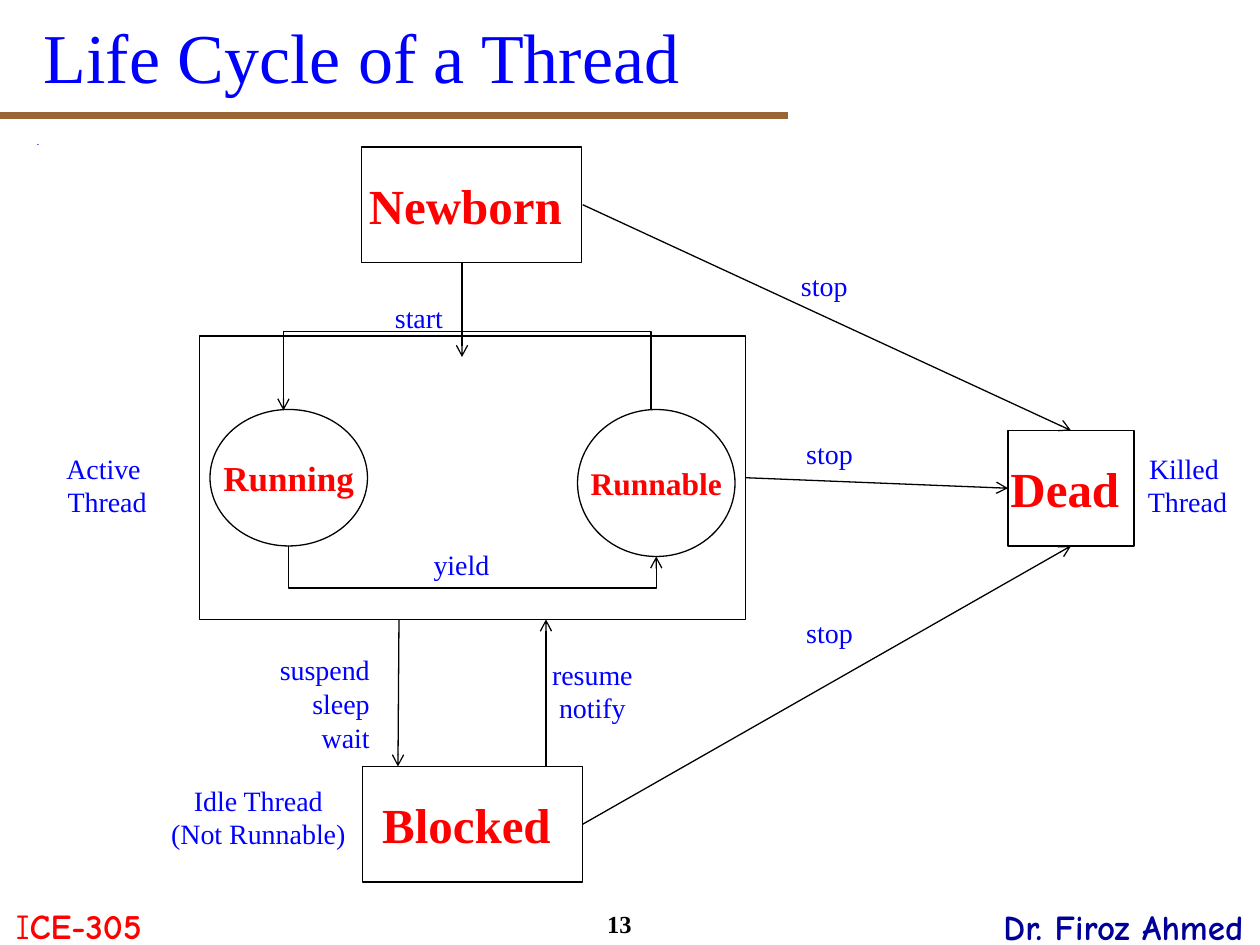
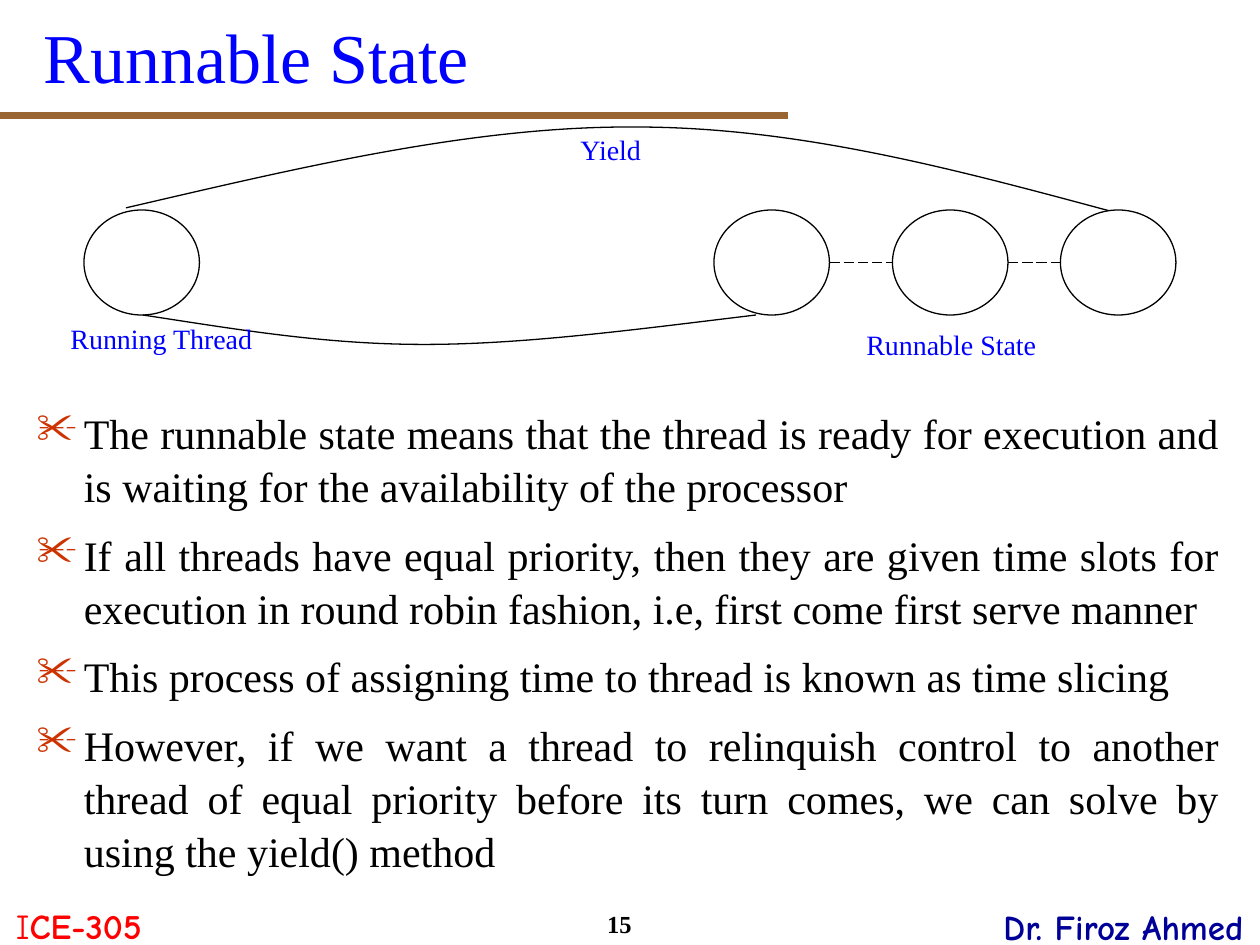
from dataclasses import dataclass

from lxml import etree
from pptx import Presentation
from pptx.dml.color import RGBColor
from pptx.enum.dml import MSO_LINE
from pptx.enum.shapes import MSO_CONNECTOR, MSO_SHAPE
from pptx.enum.text import MSO_ANCHOR, MSO_AUTO_SIZE, PP_ALIGN
from pptx.oxml.ns import qn
from pptx.util import Emu, Pt

PX = 7620
STRAIGHT, ELBOW = MSO_CONNECTOR.STRAIGHT, MSO_CONNECTOR.ELBOW
RECT, OVAL = MSO_SHAPE.RECTANGLE, MSO_SHAPE.OVAL
LEFT, CENTER, RIGHT, JUSTIFY = PP_ALIGN.LEFT, PP_ALIGN.CENTER, PP_ALIGN.RIGHT, PP_ALIGN.JUSTIFY
TOP, MIDDLE = MSO_ANCHOR.TOP, MSO_ANCHOR.MIDDLE
GROW, FIXED = MSO_AUTO_SIZE.SHAPE_TO_FIT_TEXT, MSO_AUTO_SIZE.NONE
LONG_DASH = MSO_LINE.LONG_DASH


@dataclass(frozen=True)
class Theme:
    font: str = "Times New Roman"
    footer_font: str = "Comic Neue"
    blue: str = "0000FF"
    navy: str = "000099"
    red: str = "FF0000"
    brown: str = "996633"
    rust: str = "CC3300"
    black: str = "000000"
    white: str = "FFFFFF"
    title: float = 40
    state: float = 28
    body: float = 24
    footer: float = 20
    running: float = 20
    runnable: float = 18
    label: float = 16
    number: float = 14
    dot: float = 6.5
    line: float = 0.75
    rule: float = 4.5


THEME = Theme()


def px(value):
    return Emu(round(value * PX))


def rgb(color):
    return RGBColor.from_string(color)


def add_xml(parent, tag, **attributes):
    return etree.SubElement(parent, qn(tag), **attributes)


def add_bullet(paragraph, char, color):
    properties = paragraph._p.get_or_add_pPr()
    properties.set("marL", str(px(45)))
    properties.set("indent", str(-px(45)))
    add_xml(add_xml(properties, "a:buClr"), "a:srgbClr", val=color)
    add_xml(properties, "a:buChar", char=char)


def write_text(frame, text, *, size=THEME.label, color=THEME.blue, font=THEME.font,
               bold=False, align=CENTER, anchor=TOP, wrap=False, fit=FIXED,
               margin_y=6, spacing=None, before=None, bullet=None):
    frame.word_wrap = wrap
    frame.auto_size = fit
    frame.vertical_anchor = anchor
    frame.margin_left = frame.margin_right = px(12)
    frame.margin_top = frame.margin_bottom = px(margin_y)
    for index, line in enumerate(text.split("\n")):
        paragraph = frame.add_paragraph() if index else frame.paragraphs[0]
        paragraph.alignment = align
        if spacing:
            paragraph.line_spacing = spacing
        if before is not None:
            paragraph.space_before = Pt(before)
        if bullet:
            add_bullet(paragraph, bullet, THEME.rust)
        run = paragraph.add_run()
        run.text = line
        run.font.size, run.font.name, run.font.bold = Pt(size), font, bold
        run.font.color.rgb = rgb(color)


class Deck:
    def __init__(self, theme):
        self.theme = theme
        self.presentation = Presentation()
        self.presentation.slide_width, self.presentation.slide_height = px(1200), px(900)
        self.slide = None

    def start_slide(self, title, number):
        theme = self.theme
        self.slide = self.presentation.slides.add_slide(self.presentation.slide_layouts[6])
        self.line((0, 110), (750, 110), color=theme.brown, width=theme.rule)
        footer = dict(size=theme.footer, font=theme.footer_font, wrap=True)
        course = self.text((0, 856, 150, 53), "I", color=theme.red, **footer)
        initial = course.paragraphs[0].runs[0]
        code = course.paragraphs[0].add_run()
        code.text = "CE-305"
        code.font.size, code.font.name, code.font.bold = initial.font.size, initial.font.name, True
        code.font.color.rgb = initial.font.color.rgb
        self.text((940, 856, 260, 92), "Dr. Firoz Ahmed", color=theme.navy, bold=True, **footer)
        self.text((550, 860, 80, 40), str(number), size=theme.number, color=theme.black,
                  bold=True, wrap=True)
        self.text((30, -2, 1140, 110), title, size=theme.title, align=LEFT,
                  anchor=MIDDLE, wrap=True)

    def text(self, box, text, **style):
        frame = self.slide.shapes.add_textbox(*map(px, box)).text_frame
        write_text(frame, text, **style)
        return frame

    def label(self, box, text, **style):
        self.text(box, text, fit=GROW, **style)

    def outline(self, shape):
        shape.shadow.inherit = False
        shape.fill.solid()
        shape.fill.fore_color.rgb = rgb(self.theme.white)
        shape.line.color.rgb = rgb(self.theme.black)
        shape.line.width = Pt(self.theme.line)

    def state(self, kind, box, text="", size=THEME.state):
        shape = self.slide.shapes.add_shape(kind, *map(px, box))
        self.outline(shape)
        if text:
            write_text(shape.text_frame, text, size=size, color=self.theme.red,
                       bold=True, anchor=MIDDLE)

    def line(self, start, end, kind=STRAIGHT, color=THEME.black, width=THEME.line,
             arrow=None, dash=None):
        connector = self.slide.shapes.add_connector(kind, *map(px, (*start, *end)))
        connector.line.color.rgb = rgb(color)
        connector.line.width = Pt(width)
        if dash:
            connector.line.dash_style = dash
        if arrow:
            add_xml(connector.line._get_or_add_ln(), arrow, type="arrow")
        add_xml(connector._element.spPr, "a:effectLst")
        return connector

    def arrow(self, start, end):
        self.line(start, end, arrow="a:tailEnd")

    def elbow(self, start, end, turn_y):
        (start_x, start_y), (end_x, end_y) = start, end
        rise, run = start_y - end_y, abs(end_x - start_x)
        left = (start_x + end_x - rise) / 2
        top = (start_y + end_y - run) / 2
        connector = self.line((left, top), (left + rise, top + run), ELBOW, arrow="a:headEnd")
        rightward = end_x > start_x
        transform = connector._element.spPr.find(qn("a:xfrm"))
        transform.set("rot", str((90 if rightward else 270) * 60000))
        transform.set("flipH", str(int(rightward)))
        transform.set("flipV", "1")
        geometry = connector._element.spPr.find(qn("a:prstGeom"))
        guides = geometry.get_or_add_avLst()
        bend = round((start_y - turn_y) / rise * 100000)
        add_xml(guides, "a:gd", name="adj1", fmla=f"val {bend}")

    def curve(self, start, *controls):
        builder = self.slide.shapes.build_freeform(*start, scale=PX)
        builder.add_line_segments(controls, close=False)
        shape = builder.convert_to_shape()
        self.outline(shape)
        segments = list(shape._element.iter(qn("a:lnTo")))
        outline = segments[0].getparent()
        for first in range(0, len(segments), 3):
            bezier = add_xml(outline, "a:cubicBezTo")
            for segment in segments[first:first + 3]:
                bezier.append(segment[0])
                outline.remove(segment)


def build_life_cycle(deck):
    theme = deck.theme
    deck.start_slide("Life Cycle of a Thread", 13)
    deck.text((23, 130, 1150, 6), ".", size=theme.dot, align=LEFT, wrap=True,
              margin_y=0, spacing=0.85, before=9.8)

    deck.state(RECT, (190, 320, 520, 270))
    deck.state(OVAL, (200, 390, 150, 130), "Running", theme.running)
    deck.state(OVAL, (550, 390, 150, 140), "Runnable", theme.runnable)
    deck.state(RECT, (344, 140, 210, 110), "Newborn ")
    deck.state(RECT, (345, 730, 210, 110), "Blocked ")
    deck.state(RECT, (960, 410, 120, 110), "Dead ")

    for start, end in (
        ((440, 250), (440, 340)),
        ((520, 730), (520, 590)),
        ((380, 590), (379, 730)),
        ((555, 195), (1020, 410)),
        ((710, 455), (960, 465)),
        ((555, 785), (1020, 520)),
    ):
        deck.arrow(start, end)
    deck.elbow((270, 391), (620, 390), 315)
    deck.elbow((625, 530), (275, 520), 560)

    for box, text in (
        ((42, 424, 120, 77), "Active \nThread"),
        ((401, 516, 77, 44), "yield"),
        ((359, 280, 80, 44), "start"),
        ((141, 740, 210, 77), "Idle Thread\n(Not Runnable)"),
        ((1071, 424, 120, 77), "Killed \nThread"),
        ((745, 250, 80, 44), "stop"),
        ((750, 410, 80, 44), "stop"),
        ((750, 580, 80, 44), "stop"),
    ):
        deck.label(box, text)
    deck.label((234, 616, 130, 108), "suspend\nsleep\nwait", align=RIGHT)
    deck.label((514, 620, 110, 77), "resume\n notify", align=LEFT)


def build_runnable_state(deck):
    theme = deck.theme
    deck.start_slide("Runnable State", 15)
    deck.curve((120, 198), (284, 160), (449, 120), (605, 121),
               (762, 121), (912, 162), (1061, 202))
    points = (
        "The runnable state means that the thread is ready for execution and is waiting "
        "for the availability of the processor",
        "If all threads have equal priority, then they are given time slots for execution "
        "in round robin fashion, i.e, first come first serve manner",
        "This process of assigning time to thread is known as time slicing",
        "However, if we want a thread to relinquish control to another thread of equal "
        "priority before its turn comes, we can solve by using the yield() method",
    )
    deck.text((23, 380, 1150, 460), "\n".join(points), size=theme.body, color=theme.black,
              align=JUSTIFY, wrap=True, spacing=1.05, before=9, bullet="✂")

    thread_width = 110
    running, *queue = 80, 680, 850, 1010
    for left in (running, *queue):
        deck.state(OVAL, (left, 200, thread_width, 100))
    deck.curve((720, 300), (611, 313), (502, 328), (404, 328),
               (307, 328), (222, 313), (136, 300))
    for left, following in zip(queue, queue[1:]):
        deck.line((left + thread_width, 250), (following, 250), dash=LONG_DASH)

    deck.label((55, 300, 204, 44), "Running Thread ")
    deck.label((812, 306, 188, 44), "Runnable State")
    deck.label((540, 120, 90, 44), "Yield ")


def main():
    deck = Deck(THEME)
    build_life_cycle(deck)
    build_runnable_state(deck)
    deck.presentation.save("out.pptx")


if __name__ == "__main__":
    main()
